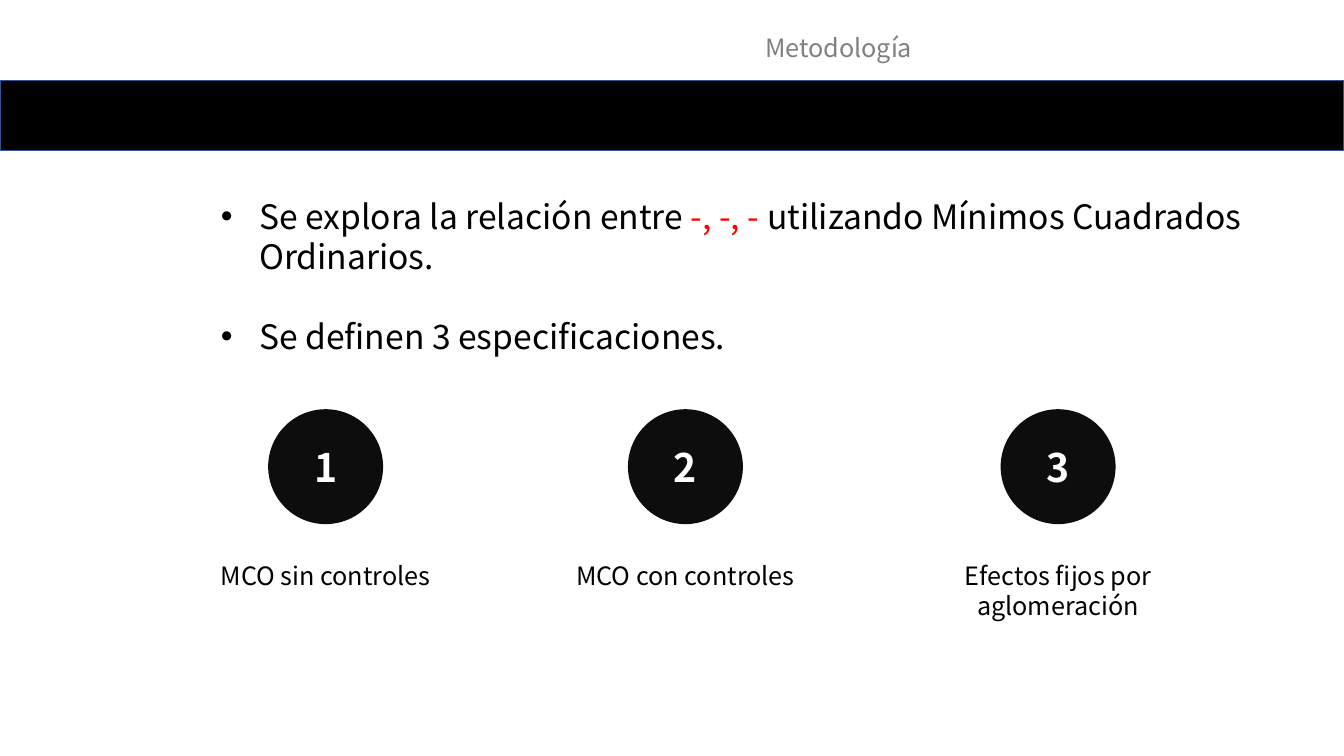
from dataclasses import dataclass

from pptx import Presentation
from pptx import util as u
from pptx.dml.color import RGBColor
from pptx.enum import shapes, text


@dataclass(frozen=True)
class Theme:
    font: str = "Noto Sans CJK KR"
    ink: str = "000000"
    paper: str = "FFFFFF"
    heading: str = "808080"
    accent: str = "FF0000"
    disc: str = "0D0D0D"
    band_edge: str = "325491"
    small: int = 18
    medium: int = 24
    large: int = 28


THEME = Theme()
WIDTH, HEIGHT = u.Inches(13.33), u.Inches(7.5)
# The slide is a grid of 100 columns by 100 rows
COL, ROW = WIDTH / 100, HEIGHT / 100


def grid(left, top, width, height):
    return int(left * COL), int(top * ROW), int(width * COL), int(height * ROW)


def place(holder, box):
    holder.left, holder.top, holder.width, holder.height = box


def prepare(frame, anchor=text.MSO_ANCHOR.TOP):
    frame.word_wrap = True
    frame.auto_size = text.MSO_AUTO_SIZE.NONE
    frame.vertical_anchor = anchor


def add_run(paragraph, words, size, color, bold=False):
    run = paragraph.add_run()
    run.text = words
    run.font.name = THEME.font
    run.font.size = u.Pt(size)
    run.font.bold = bold
    run.font.color.rgb = RGBColor.from_string(color)


def add_centered(frame, words, size, color, bold=False):
    paragraph = frame.paragraphs[0]
    paragraph.alignment = text.PP_ALIGN.CENTER
    add_run(paragraph, words, size, color, bold)


def add_solid(slide, kind, box, fill, edge=None):
    solid = slide.shapes.add_shape(kind, *box)
    solid.shadow.inherit = False
    solid.fill.solid()
    solid.fill.fore_color.rgb = RGBColor.from_string(fill)
    if edge:
        solid.line.color.rgb = RGBColor.from_string(edge)
        solid.line.width = u.Pt(1)
    else:
        solid.line.fill.background()
    return solid


# Heading above the full-width band
def build_header(slide, heading, heading_box, band_box):
    add_solid(slide, shapes.MSO_SHAPE.RECTANGLE, band_box, THEME.ink, THEME.band_edge)
    title = slide.shapes.title
    place(title, heading_box)
    prepare(title.text_frame)
    add_centered(title.text_frame, heading, THEME.small, THEME.heading)


# Bulleted statements
def build_statements(slide, statements, box):
    body = slide.placeholders[1]
    place(body, box)
    frame = body.text_frame
    prepare(frame)
    indent = u.Inches(0.38)
    for index, pieces in enumerate(statements):
        paragraph = frame.add_paragraph() if index else frame.paragraphs[0]
        paragraph.space_before = u.Pt(28.6 if index else 0)
        properties = paragraph._p.get_or_add_pPr()
        properties.set("marL", str(indent))
        properties.set("indent", str(-indent))
        for words, color in pieces:
            add_run(paragraph, words, THEME.medium, color)


# One numbered disc with its caption, inside the column it is given
def build_specification(slide, number, caption, box):
    left, top, width, height = box
    diameter = u.Inches(1.14)
    disc = add_solid(slide, shapes.MSO_SHAPE.OVAL,
                     (left + (width - diameter) // 2, top, diameter, diameter), THEME.disc)
    prepare(disc.text_frame, text.MSO_ANCHOR.MIDDLE)
    add_centered(disc.text_frame, str(number), THEME.large, THEME.paper, bold=True)

    drop = u.Inches(1.45)
    label = slide.shapes.add_textbox(left, top + drop, width, height - drop)
    prepare(label.text_frame)
    add_centered(label.text_frame, caption, THEME.small, THEME.ink)


def main():
    deck = Presentation()
    deck.slide_width, deck.slide_height = WIDTH, HEIGHT
    slide = deck.slides.add_slide(deck.slide_layouts[1])

    build_header(slide, "Metodología", grid(49.8, 3.6, 25.2, 5.33), grid(0, 10.67, 100, 9.2))
    build_statements(slide, [
        [("Se explora la relación entre ", THEME.ink),
         ("-, -, -", THEME.accent),
         (" utilizando Mínimos Cuadrados Ordinarios.", THEME.ink)],
        [("Se definen 3 especificaciones.", THEME.ink)],
    ], grid(15.68, 25.2, 79.2, 22.93))

    # Caption, centre column, width in columns, height in rows
    specifications = [
        ("MCO sin controles", 24.23, 18.6, 24.67),
        ("MCO con controles", 51, 24.45, 24.67),
        ("Efectos fijos por aglomeración", 78.73, 24.45, 28.8),
    ]
    for number, (caption, center, width, height) in enumerate(specifications, 1):
        build_specification(slide, number, caption,
                            grid(center - width / 2, 54.13, width, height))

    deck.save("out.pptx")


if __name__ == "__main__":
    main()
